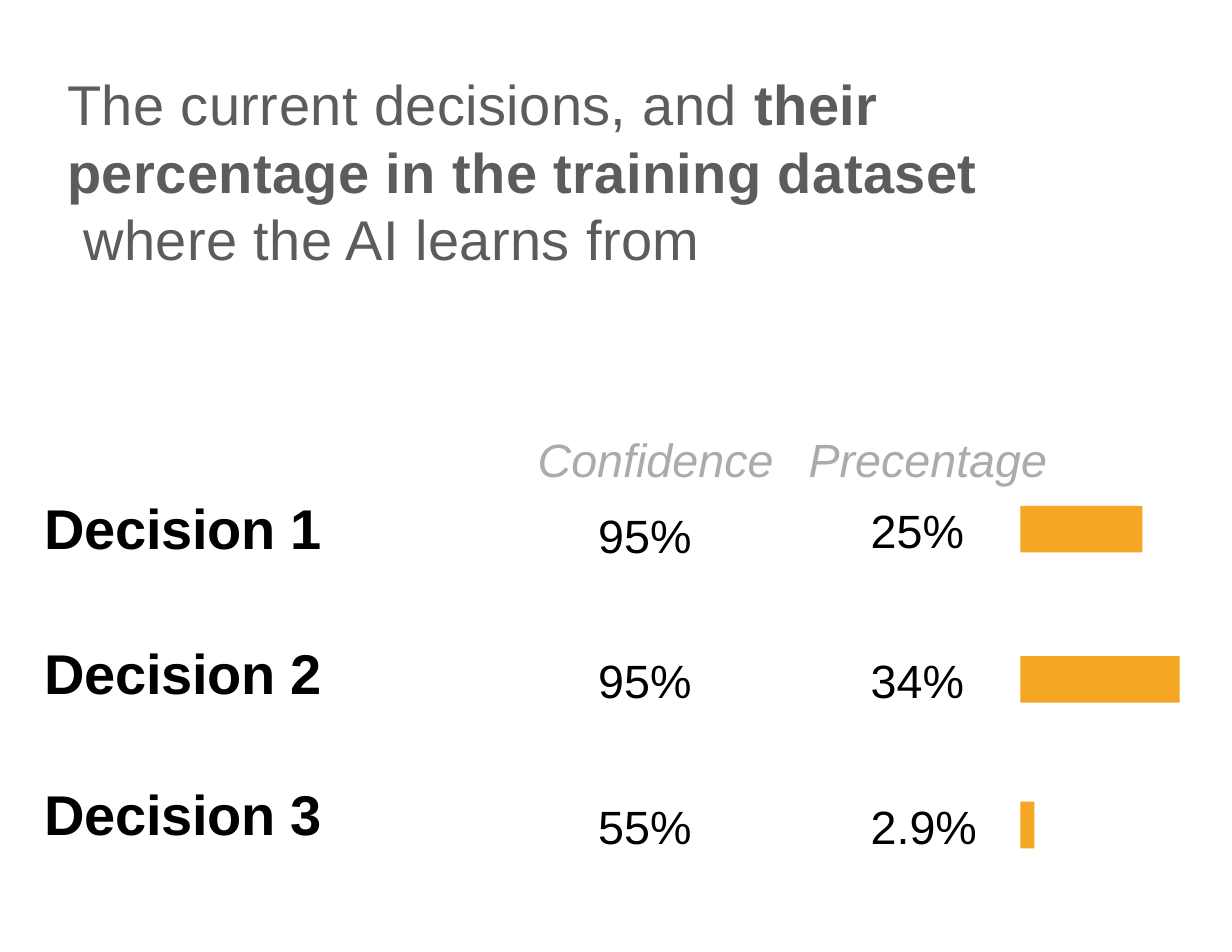
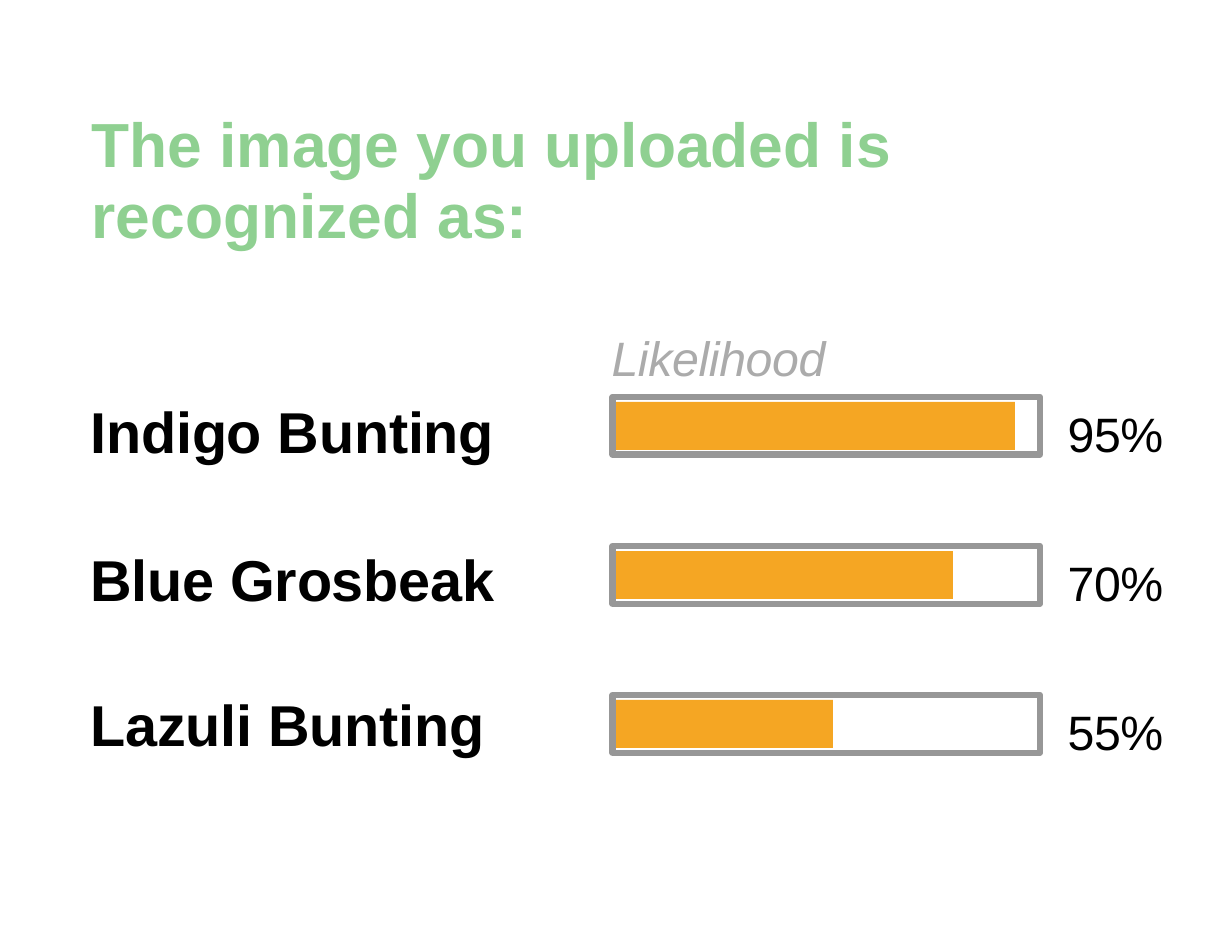
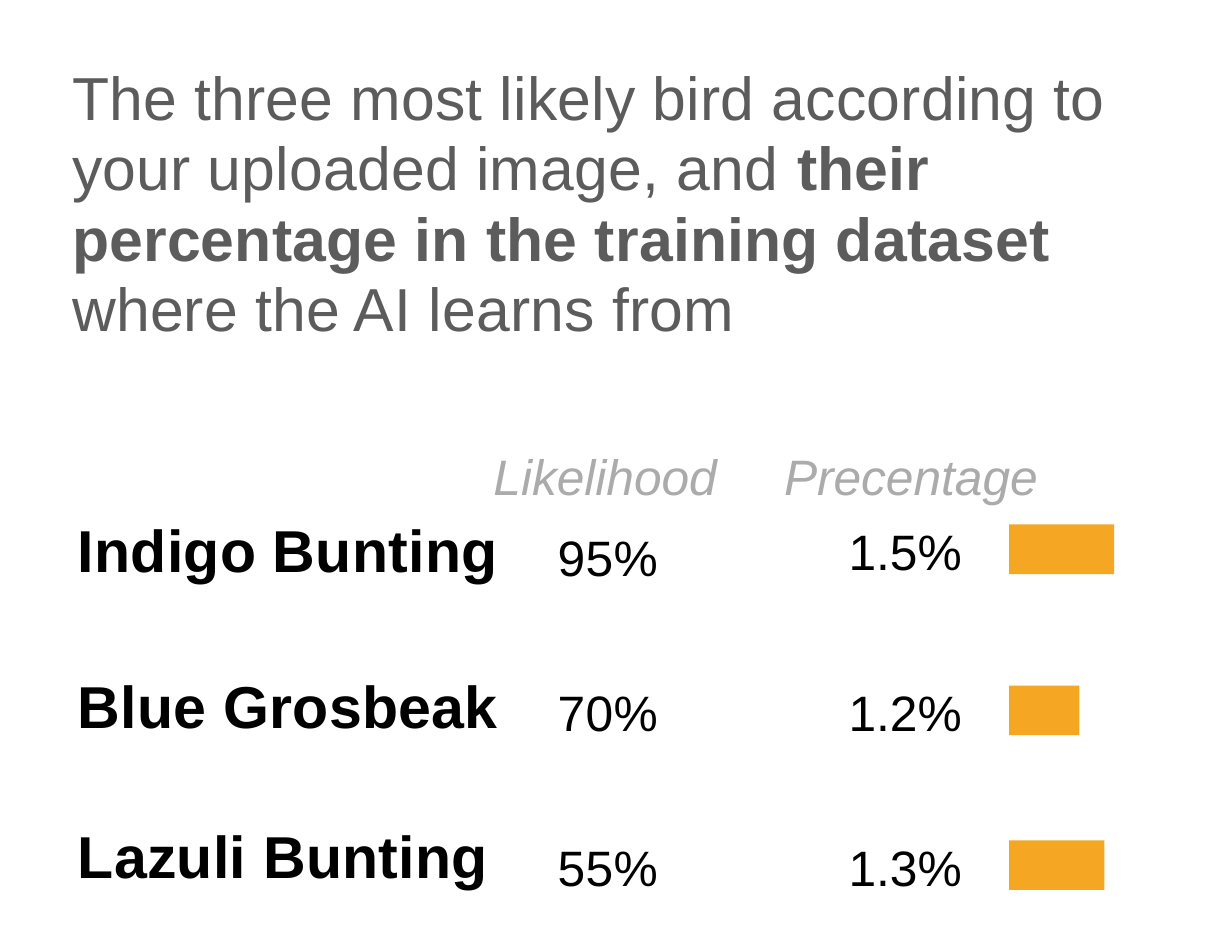
from pptx import Presentation
from pptx.dml.color import RGBColor
from pptx.enum.shapes import MSO_SHAPE as Preset
from pptx.oxml.ns import qn
from pptx.util import Pt

GREY = RGBColor(0x5C, 0x5C, 0x5C)
GREEN = RGBColor(0x8F, 0xD0, 0x91)
BLACK = RGBColor(0x00, 0x00, 0x00)
HEADER_GREY = RGBColor(0xAB, 0xAB, 0xAB)
FRAME_GREY = RGBColor(0x97, 0x97, 0x97)
ORANGE = RGBColor(0xF5, 0xA6, 0x23)
FONT = "Arial"


def add_text(slide, lines, left, top, width, size, color=BLACK, bold=None,
             italic=None, spacing=0, pitch=None):
    """Add one paragraph; each line is a list of (text, bold) runs."""
    height = len(lines) * (pitch or size * 1.15)
    shape = slide.shapes.add_textbox(Pt(left), Pt(top), Pt(width), Pt(height))
    frame = shape.text_frame
    frame.margin_left = frame.margin_top = frame.margin_right = frame.margin_bottom = 0
    frame.word_wrap = True
    paragraph = frame.paragraphs[0]
    for index, line in enumerate(lines):
        if index:
            paragraph.add_line_break()
        for text, run_bold in line:
            run = paragraph.add_run()
            run.text = text
            if run_bold:
                run.font.bold = True
    if pitch:
        paragraph.line_spacing = Pt(pitch)
    font = paragraph.font
    font.name, font.size, font.bold, font.italic = FONT, Pt(size), bold, italic
    font.color.rgb = color
    if spacing:
        paragraph._p.pPr.find(qn("a:defRPr")).set("spc", str(spacing))


def add_bar(slide, left, top, width, height, fill=None, line=None):
    shape = slide.shapes.add_shape(Preset.RECTANGLE, Pt(left), Pt(top), Pt(width), Pt(height))
    shape.shadow.inherit = False
    if fill is None:
        shape.fill.background()
    else:
        shape.fill.solid()
        shape.fill.fore_color.rgb = fill
    if line is None:
        shape.line.fill.background()
    else:
        shape.line.color.rgb = line
        shape.line.width = Pt(2)


presentation = Presentation()
presentation.slide_width, presentation.slide_height = Pt(396), Pt(306)
blank = presentation.slide_layouts[6]
decisions, recognized, birds = [presentation.slides.add_slide(blank) for _ in range(3)]

# Titles
add_text(decisions, [
    [("The current decisions, and ", False), ("their", True)],
    [("percentage in the training dataset", True)],
    [(" where the AI learns from", False)],
], 21.7, 22.3, 340, 18, GREY, spacing=15, pitch=21.7)
add_text(recognized, [
    [("The image you uploaded is", False)],
    [("recognized as:", False)],
], 29.5, 35.2, 340, 20, GREEN, bold=True, pitch=22.7)
add_text(birds, [
    [("The three most likely bird according to", False)],
    [("your uploaded image, and ", False), ("their", True)],
    [("percentage in the training dataset", True)],
    [("where the AI learns from", False)],
], 23.2, 20.1, 360, 19.5, GREY, spacing=7, pitch=22.6)

# Score tables on the first and last slides
# headers: (text, left); columns: lefts of name, score, percentage and bar
# rows: name, score, percentage, tops of these three, bar width
tables = [
    (decisions, 18, 15, -10, 0, 138.6, 15,
     [("Confidence", 172.8), ("Precentage", 259.9)],
     (14.3, 192.3, 279.9, 328),
     [("Decision 1", "95%", "25%", 158.7, 162.8, 161.3, 39.2),
      ("Decision 2", "95%", "34%", 205.3, 209.6, 209.6, 51.2),
      ("Decision 3", "55%", "2.9%", 250.6, 256.4, 256.4, 4.5)]),
    (birds, 19, 16, 10, 10, 143.4, 16,
     [("Likelihood", 158.6), ("Precentage", 252)],
     (25, 179.3, 272.8, 324.4),
     [("Indigo Bunting", "95%", "1.5%", 165, 169.3, 167.3, 33.8),
      ("Blue Grosbeak", "70%", "1.2%", 215, 219.1, 219.1, 22.6),
      ("Lazuli Bunting", "55%", "1.3%", 263.4, 268.8, 268.8, 30.6)]),
]
for (slide, name_size, size, name_spacing, score_spacing, header_top, bar_height,
     headers, columns, rows) in tables:
    name_left, score_left, percentage_left, bar_left = columns
    for text, left in headers:
        add_text(slide, [[(text, False)]], left, header_top, 90, size, HEADER_GREY, italic=True)
    for name, score, percentage, name_top, score_top, percentage_top, bar_width in rows:
        add_text(slide, [[(name, False)]], name_left, name_top, 145, name_size,
                 bold=True, spacing=name_spacing)
        add_text(slide, [[(score, False)]], score_left, score_top, 45, size,
                 spacing=score_spacing)
        add_text(slide, [[(percentage, False)]], percentage_left, percentage_top, 45, size)
        add_bar(slide, bar_left, percentage_top + 1.3, bar_width, bar_height, ORANGE)

# Likelihood bars on the middle slide
ROW_PITCH = 47.9
add_text(recognized, [[("Likelihood", False)]], 196.6, 105.4, 100, 15.5, HEADER_GREY,
         italic=True, spacing=-10)
likelihoods = [("Indigo Bunting", "95%", 127.4, 128.2),
               ("Blue Grosbeak", "70%", 174.9, 108.3),
               ("Lazuli Bunting", "55%", 221.5, 69.7)]
for index, (name, likelihood, name_top, bar_width) in enumerate(likelihoods):
    top = 127.6 + index * ROW_PITCH
    add_text(recognized, [[(name, False)]], 29.1, name_top, 145, 18.5, bold=True, spacing=-7)
    add_bar(recognized, 196.9, top, 137.4, 18.6, line=FRAME_GREY)
    add_bar(recognized, 198, top + 1.6, bar_width, 15.4, ORANGE)
    add_text(recognized, [[(likelihood, False)]], 343.2, top + 2.2, 45, 15.5, spacing=-10)

presentation.save("out.pptx")
